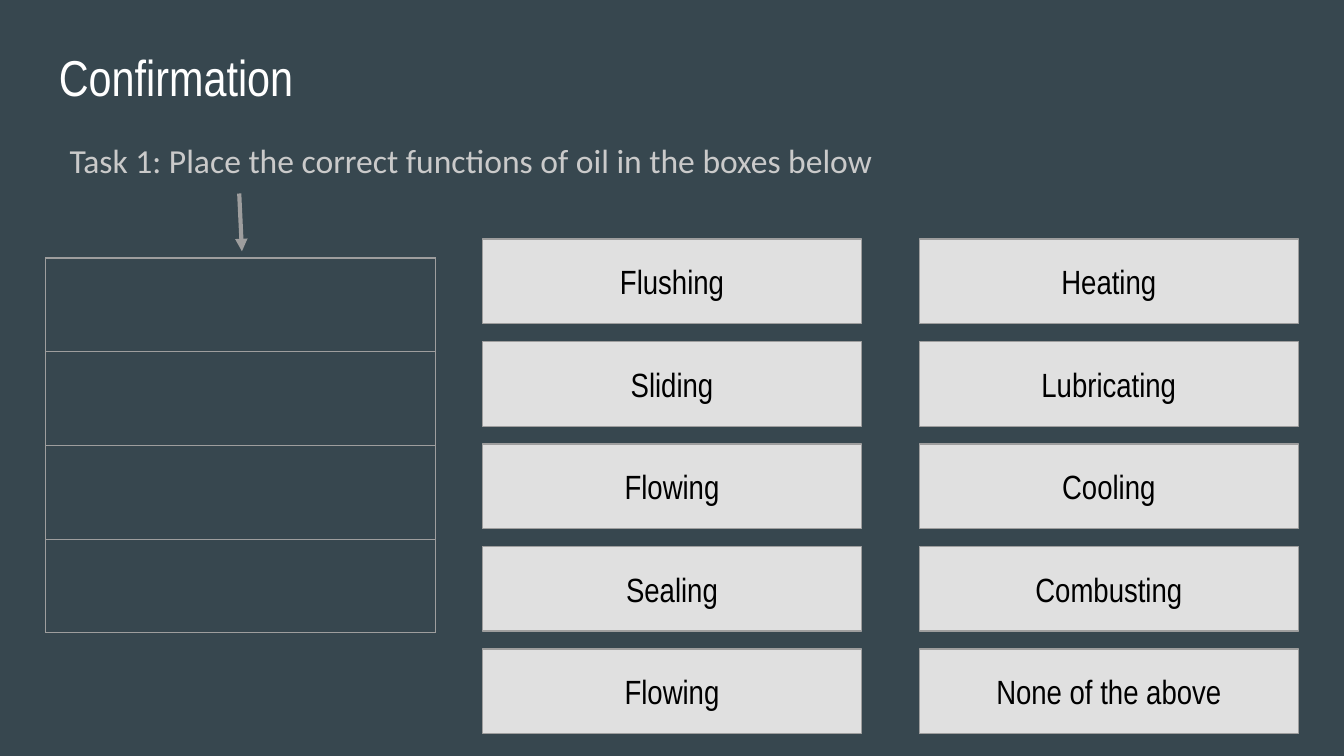
from dataclasses import dataclass

import pptx
import pptx.dml.color
import pptx.enum.shapes
import pptx.enum.text
import pptx.oxml
import pptx.oxml.ns
import pptx.util
from pptx.util import Inches


@dataclass(frozen=True)
class Theme:
    background: str = "37474F"
    card: str = "E0E0E0"
    line: str = "9E9E9E"
    title: str = "FFFFFF"
    task: str = "CACACA"
    answer: str = "000000"
    narrow: str = "Arial Narrow"
    body: str = "Calibri"
    title_size: float = 27
    text_size: float = 18
    thin: float = 0.75
    thick: float = 2.25


THEME = Theme()
ANSWERS = [
    ["Flushing", "Sliding", "Flowing", "Sealing", "Flowing"],
    ["Heating", "Lubricating", "Cooling", "Combusting", "None of the above"],
]


def rgb(value):
    return pptx.dml.color.RGBColor.from_string(value)


def add_xml(parent, tag, content="", attributes=""):
    namespace = pptx.oxml.ns.nsdecls("a")
    parent.append(pptx.oxml.parse_xml(
        f"<a:{tag} {namespace} {attributes}>{content}</a:{tag}>"))


def write_text(shape, text, *, font, size, color, align="LEFT", anchor="TOP"):
    frame = shape.text_frame
    frame.word_wrap = True
    frame.vertical_anchor = getattr(pptx.enum.text.MSO_ANCHOR, anchor)
    frame.margin_left = frame.margin_right = Inches(0.1)
    frame.margin_top = frame.margin_bottom = Inches(0.1)
    para = frame.paragraphs[0]
    para.alignment = getattr(pptx.enum.text.PP_ALIGN, align)
    span = para.add_run()
    span.text = text
    span.font.name = font
    span.font.size = pptx.util.Pt(size)
    span.font.color.rgb = rgb(color)


def add_rectangle(page, left, top, width, height, fill, line=None):
    shape = page.shapes.add_shape(
        pptx.enum.shapes.MSO_SHAPE.RECTANGLE,
        Inches(left), Inches(top), Inches(width), Inches(height))
    shape.shadow.inherit = False
    shape.fill.solid()
    shape.fill.fore_color.rgb = rgb(fill)
    if line:
        shape.line.color.rgb = rgb(line)
        shape.line.width = pptx.util.Pt(THEME.thin)
    else:
        shape.line.fill.background()
    return shape


def add_label(page, left, top, width, height, text, **text_format):
    box = page.shapes.add_textbox(
        Inches(left), Inches(top), Inches(width), Inches(height))
    write_text(box, text, **text_format)


def add_drop_boxes(page, left, top, width, height, rows=4):
    """Draw the empty outlined table that receives the answers."""
    table = page.shapes.add_table(
        rows, 1, Inches(left), Inches(top), Inches(width), Inches(height)).table
    table.first_row = table.horz_banding = False
    border = f'<a:solidFill><a:srgbClr val="{THEME.line}"/></a:solidFill>'
    for cell in table.iter_cells():
        properties = cell._tc.get_or_add_tcPr()
        for side in ("lnL", "lnR", "lnT", "lnB"):
            add_xml(properties, side, border,
                    f'w="{pptx.util.Pt(THEME.thin)}"')
        cell.fill.background()


def add_arrow(page, left, top, width, height):
    arrow = page.shapes.add_connector(
        pptx.enum.shapes.MSO_CONNECTOR.STRAIGHT, Inches(left), Inches(top),
        Inches(left + width), Inches(top + height))
    arrow.line.color.rgb = rgb(THEME.line)
    arrow.line.width = pptx.util.Pt(THEME.thick)
    add_xml(arrow.line._get_or_add_ln(), "tailEnd", attributes='type="triangle"')
    add_xml(arrow._element.spPr, "effectLst")


def add_answer_cards(page, left, top, width, height):
    """Fill the box with two columns of evenly spaced answer cards."""
    card_width, card_height = 2.82, 0.63
    column_step = (width - card_width) / (len(ANSWERS) - 1)
    for column, answers in enumerate(ANSWERS):
        row_step = (height - card_height) / (len(answers) - 1)
        for row, answer in enumerate(answers):
            card = add_rectangle(
                page, left + column * column_step, top + row * row_step,
                card_width, card_height, THEME.card, THEME.line)
            write_text(card, answer, font=THEME.narrow, size=THEME.text_size,
                       color=THEME.answer, align="CENTER", anchor="MIDDLE")


def main():
    deck = pptx.Presentation()
    deck.slide_width = Inches(10)
    deck.slide_height = deck.slide_width * 9 // 16
    page = deck.slides.add_slide(deck.slide_layouts[6])
    page.background.fill.solid()
    page.background.fill.fore_color.rgb = rgb(THEME.background)

    add_rectangle(page, 3.35, 1.49, 6.65, 4.13, THEME.background)
    add_label(page, 0.34, 0.24, 9.32, 0.63, "Confirmation",
              font=THEME.narrow, size=THEME.title_size, color=THEME.title)
    add_drop_boxes(page, 0.34, 1.92, 2.9, 2.79)
    add_label(page, 0.42, 0.94, 7.06, 0.5,
              "Task 1: Place the correct functions of oil in the boxes below",
              font=THEME.body, size=THEME.text_size, color=THEME.task)
    add_answer_cards(page, 3.59, 1.78, 6.07, 3.68)
    add_arrow(page, 1.78, 1.44, 0.02, 0.43)
    deck.save("out.pptx")


if __name__ == "__main__":
    main()
